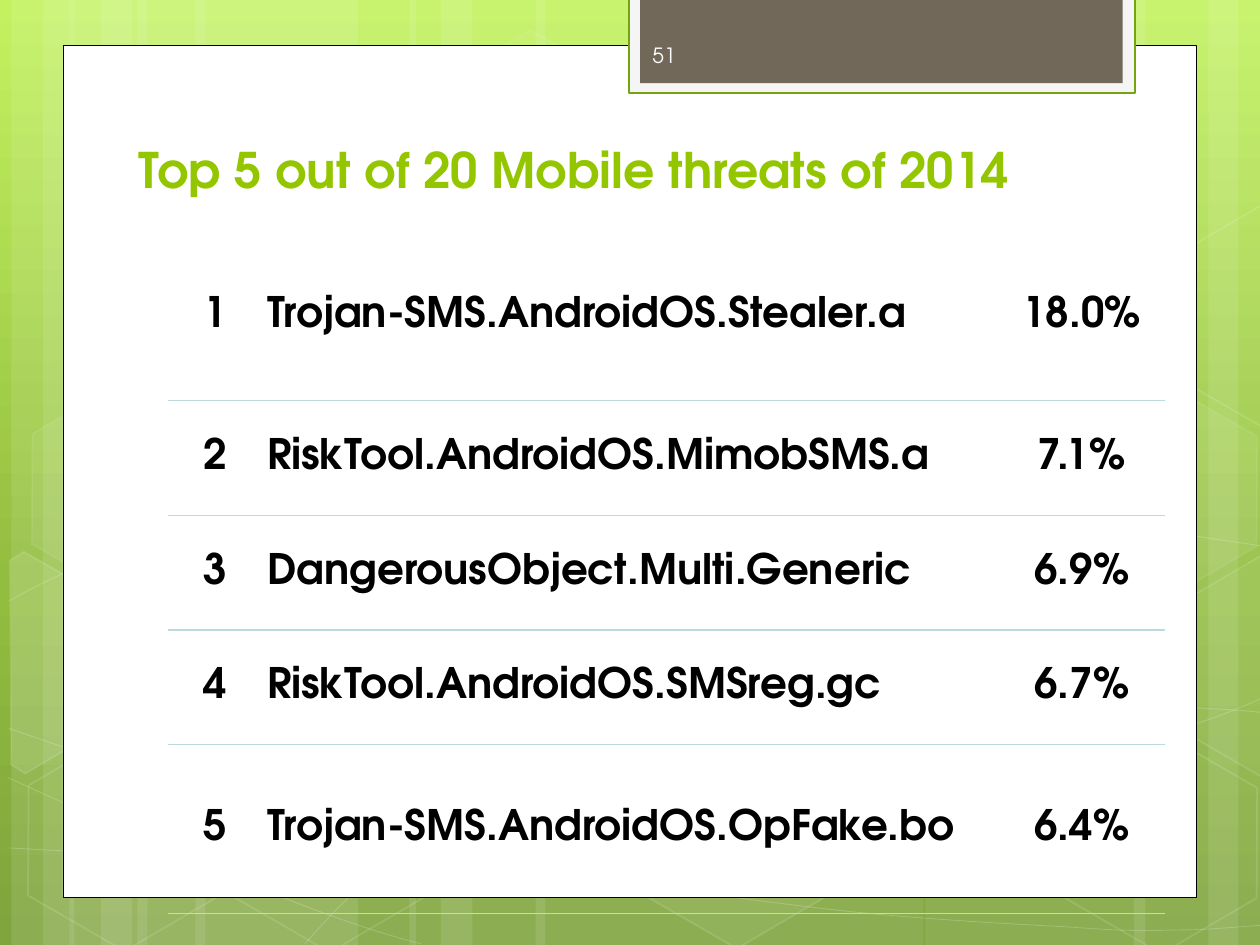
from copy import deepcopy

from lxml.etree import SubElement as Sub
from pptx import Presentation
from pptx.dml.color import RGBColor as Rgb
from pptx.enum.shapes import MSO_SHAPE as Kind
from pptx.enum.text import MSO_ANCHOR as Anchor, PP_ALIGN as Align
from pptx.oxml.ns import qn
from pptx.util import Inches, Pt

INK = {
    "white": "FFFFFF", "black": "000000", "title": "94C600",
    "tab": "71685A", "frame": "F5F5F5", "edge": "74A510",
    "rule": "BCD9DD", "number": "FEFEFE",
}
SKY = [(0, "C2F25F"), (0.62, "92BD3F"), (1, "80A43E")]
FACE = "TeX Gyre Adventor"
TITLE = {"name": FACE, "size": Pt(28), "bold": True}
BODY = {"name": FACE, "size": Pt(24), "bold": True}
SMALL = {"name": FACE, "size": Pt(12), "bold": False}
CELL = {
    "vertical_anchor": Anchor.MIDDLE,
    "margin_left": Inches(0.04), "margin_right": Inches(0.04),
    "margin_top": Inches(0.05), "margin_bottom": Inches(0.05),
}

# Left and width of the pale upright bars
BARS = [
    (1.09, 1.75), (0.09, 0.5), (0.34, 0.83), (1.55, 1.75),
    (0.55, 0.5), (0.8, 0.83), (7.34, 1.75), (9.59, 0.5),
    (9, 0.83), (4.25, 3.08), (3.25, 0.5), (3.5, 0.83),
]
# Each wave: a start, then bends of three points or straights of one
WAVES = [
    [(0.07, 6.73), (0.61, 6.76, 1.15, 6.79, 1.9, 6.78),
     (2.65, 6.77, 3.58, 6.75, 4.58, 6.65),
     (5.58, 6.55, 7, 6.36, 7.92, 6.17),
     (8.83, 5.98, 9.77, 5.68, 10.07, 5.51)],
    [(0.07, 4.77), (0.36, 4.61, 0.65, 4.46, 1.21, 4.31),
     (1.78, 4.16, 2.59, 3.94, 3.47, 3.87),
     (4.36, 3.8, 5.44, 3.79, 6.54, 3.87),
     (7.64, 3.95, 9.47, 4.26, 10.07, 4.34)],
    [(0.06, 6.17), (1.27, 6.72, 2.47, 7.27, 3.34, 7.49)],
    [(0.07, 5.78), (0.38, 5.89, 0.7, 6, 1.28, 6.16),
     (1.86, 6.31, 2.73, 6.56, 3.57, 6.73),
     (4.4, 6.9, 5.45, 7.08, 6.28, 7.18),
     (7.11, 7.29, 8, 7.33, 8.53, 7.36),
     (9.05, 7.4, 9.19, 7.38, 9.45, 7.38),
     (9.71, 7.37, 9.89, 7.35, 10.07, 7.34)],
    [(2.42, 7.49), (2.6, 7.29, 2.78, 7.09, 3.02, 6.91),
     (3.26, 6.73, 3.6, 6.53, 3.88, 6.39),
     (4.16, 6.25, 4.33, 6.19, 4.7, 6.09),
     (5.06, 5.99, 5.73, 5.85, 6.08, 5.78),
     (6.44, 5.71, 6.49, 5.71, 6.8, 5.69),
     (7.11, 5.66, 7.6, 5.63, 7.94, 5.62),
     (8.29, 5.61, 8.86, 5.62, 8.86, 5.62), (9.53, 5.62),
     (9.71, 5.63, 9.88, 5.64, 9.97, 5.65),
     (10.06, 5.66, 10.03, 5.65, 10.06, 5.66)],
]
# Left, top, fill opacity and line opacity in percent
HEXES = [
    (3.34, 0.36, 4, 8), (4.97, 5.89, 6, 12), (0.11, 5.91, 0, 12),
    (0.14, 3.12, 7, 8), (1.74, 5.92, 0, 12), (7.53, 4.53, 10, 12),
    (8.34, 5.93, 0, 12), (8.34, 3.14, 7, 8),
]
# Hexagons cut by the slide edge: fill opacity and corners
CUTS = [
    (10, [(0.08, 4.45), (0.19, 4.38), (0.96, 4.82), (0.95, 5.7),
          (0.2, 6.14), (0.09, 6.07)]),
    (4, [(9.26, 4.85), (10.01, 4.41), (10.09, 4.46), (10.09, 6.13),
         (10.02, 6.17), (9.26, 5.73)]),
    (0, [(9.26, 2.07), (10.01, 1.63), (10.1, 1.68), (10.09, 3.35),
         (10.02, 3.39), (9.26, 2.95)]),
]
THREATS = [
    ("1", "Trojan-SMS.AndroidOS.Stealer.a", "18.0%"),
    ("2", "RiskTool.AndroidOS.MimobSMS.a", "7.1%"),
    ("3", "DangerousObject.Multi.Generic", "6.9%"),
    ("4", "RiskTool.AndroidOS.SMSreg.gc", "6.7%"),
    ("5", "Trojan-SMS.AndroidOS.OpFake.bo", "6.4%"),
]
COLS = [0.75, 5.84, 1.33]
ROWS = [1.35, 0.91, 0.91, 0.91, 1.34]


def assign(item, values):
    for key, value in values.items():
        setattr(item, key, value)


def tint(fill, ink, alpha):
    """Solid colour with an opacity in percent; 0 means none."""
    if not alpha:
        fill.background()
        return
    fill.solid()
    fill.fore_color.rgb = Rgb.from_string(INK[ink])
    if alpha < 100:
        node = fill._xPr.find(".//" + qn("a:srgbClr"))
        Sub(node, qn("a:alpha"), val=str(alpha * 1000))


def paint(shape, ink, alpha=100, edge="white", width=0, clear=100):
    shape.shadow.inherit = False
    tint(shape.fill, ink, alpha)
    tint(shape.line.fill, edge, clear if width else 0)
    if width:
        shape.line.width = Pt(width)


def block(shapes, box, kind=Kind.RECTANGLE):
    return shapes.add_shape(kind, *map(Inches, box))


def trace(shapes, points, close):
    spots = [(Inches(x), Inches(y)) for x, y in points]
    pen = shapes.build_freeform(*spots[0])
    pen.add_line_segments(spots[1:], close=close)
    return pen.convert_to_shape()


def curve(shapes, wave):
    """Trace all points, then join each group of three into a Bezier."""
    points = [pair for part in wave for pair in zip(part[::2], part[1::2])]
    shape = trace(shapes, points, False)
    lines = iter(shape._element.findall(".//" + qn("a:lnTo")))
    for part in wave[1:]:
        first = next(lines)
        if len(part) == 6:
            first.tag = qn("a:cubicBezTo")
            for _ in range(2):
                line = next(lines)
                first.append(line[0])
                line.getparent().remove(line)
    return shape


def write(para, text, ink, style):
    run = para.add_run()
    run.text = text
    assign(run.font, style)
    run.font.color.rgb = Rgb.from_string(INK[ink])


def label(slide, box, text, ink, style, anchor):
    frame = slide.shapes.add_textbox(*map(Inches, box)).text_frame
    assign(frame, {"word_wrap": True, "vertical_anchor": anchor})
    write(frame.paragraphs[0], text, ink, style)


def rule(cell, sides):
    """Draw the named cell sides and blank the others."""
    props = cell._tc.get_or_add_tcPr()
    for side in "LRTB":
        line = Sub(props, qn("a:ln" + side), w=str(Pt(0.75)))
        if side in sides:
            fill = Sub(line, qn("a:solidFill"))
            Sub(fill, qn("a:srgbClr"), val=INK["rule"])
        else:
            Sub(line, qn("a:noFill"))


def grid(slide):
    box = map(Inches, (1.33, 1.83, sum(COLS), sum(ROWS)))
    table = slide.shapes.add_table(len(ROWS), len(COLS), *box).table
    assign(table, {"first_row": False, "horz_banding": False})
    for col, width in zip(table.columns, COLS):
        col.width = Inches(width)
    for r, (row, high) in enumerate(zip(table.rows, ROWS)):
        row.height = Inches(high)
        for c, cell in enumerate(row.cells):
            rule(cell, "TB" if r else "B")
            cell.fill.background()
            assign(cell, CELL)
            para = cell.text_frame.paragraphs[0]
            para.alignment = Align.LEFT if c == 1 else Align.CENTER
            write(para, THREATS[r][c], "black", BODY)


def shade(slide):
    fill = slide.background.fill
    fill.gradient()
    fill.gradient_angle = 270
    stops = slide._element.find(".//" + qn("a:gsLst"))
    stops.append(deepcopy(stops[-1]))
    for stop, (place, ink) in zip(fill.gradient_stops, SKY):
        stop.position = place
        stop.color.rgb = Rgb.from_string(ink)


def decor(slide):
    group = slide.shapes.add_group_shape().shapes
    for left, width in BARS:
        paint(block(group, (left, 0, width, 7.5)), "white", 10)
    for wave in WAVES:
        paint(curve(group, wave), "white", 0, width=0.5, clear=20)
    for left, top, alpha, clear in HEXES:
        tile = block(group, (left, top, 1.75, 1.52), Kind.HEXAGON)
        tile.rotation = 30
        tile.adjustments[0] = 0.285
        paint(tile, "white", alpha, width=1, clear=clear)
    for alpha, points in CUTS:
        paint(trace(group, points, True), "white", alpha, width=1, clear=12)


def main():
    deck = Presentation()
    assign(deck, {"slide_width": Inches(10), "slide_height": Inches(7.5)})
    slide = deck.slides.add_slide(deck.slide_layouts[6])
    shapes = slide.shapes
    # Backdrop
    shade(slide)
    decor(slide)
    # Page and number tab
    paint(block(shapes, (0.5, 0.36, 9, 6.76)), "white", edge="black", width=0.5)
    paint(block(shapes, (4.99, -0.02, 4.02, 0.76)), "frame", edge="edge", width=1.25)
    paint(block(shapes, (5.08, -0.02, 3.83, 0.68)), "tab")
    # Content
    label(slide, (1, 0.99, 7.68, 0.63), "Top 5 out of 20 Mobile threats of 2014",
          "title", TITLE, Anchor.BOTTOM)
    grid(slide)
    label(slide, (5.08, 0.24, 1.46, 0.4), "51", "number", SMALL, Anchor.MIDDLE)
    deck.save("out.pptx")


if __name__ == "__main__":
    main()
